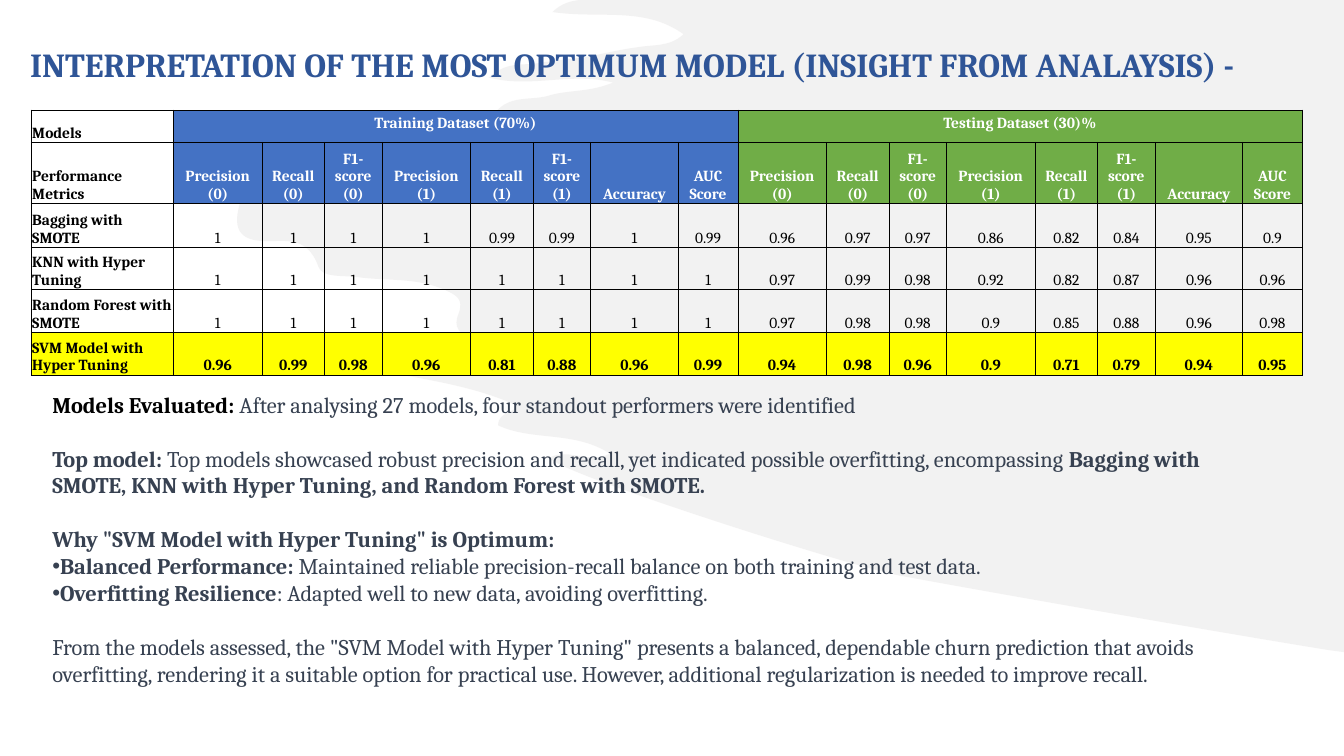
from lxml import etree
from pptx import Presentation
from pptx.dml.color import RGBColor
from pptx.enum.text import MSO_ANCHOR, PP_ALIGN
from pptx.oxml.ns import qn
from pptx.util import Inches, Pt

MIDDLE, BOTTOM, TOP = MSO_ANCHOR.MIDDLE, MSO_ANCHOR.BOTTOM, MSO_ANCHOR.TOP
LEFT, CENTER = PP_ALIGN.LEFT, PP_ALIGN.CENTER
FONT, BULLET_FONT = "Cambria", "Arial"
BLACK, WHITE, NAVY, SLATE = "000000", "FFFFFF", "2F5597", "374151"
BLUE, GREEN, YELLOW, PALE = "4472C4", "70AD47", "FFFF00", "E7E6E6"

# Wave outline: each row holds two control points and an end point
WAVE_START = (5.75, 0)
WAVE_CURVES = [
    (5.67, 0.01, 5.57, 0.03, 5.48, 0.12), (5.95, 0.19, 6.39, 0.06, 6.78, 0.34),
    (6.64, 0.47, 6.48, 0.44, 6.32, 0.47), (6.16, 0.49, 6, 0.53, 5.84, 0.56),
    (5.67, 0.59, 5.49, 0.6, 5.32, 0.63), (5.18, 0.65, 5.02, 0.61, 4.85, 0.77),
    (5.27, 0.88, 5.66, 0.71, 6.08, 0.82), (5.84, 0.92, 5.63, 0.89, 5.44, 0.95),
    (5.27, 1, 5.06, 0.94, 4.92, 1.11), (4.81, 1.24, 4.69, 1.26, 4.55, 1.18),
    (4.42, 1.11, 4.28, 1.13, 4.15, 1.2), (4.11, 1.23, 4.06, 1.26, 4.06, 1.32),
    (4.06, 1.41, 4.12, 1.43, 4.18, 1.44), (4.24, 1.46, 4.31, 1.47, 4.37, 1.46),
    (4.74, 1.39, 5.1, 1.5, 5.47, 1.49), (4.31, 1.76, 3.14, 1.67, 1.93, 1.76),
    (2.09, 1.95, 2.29, 1.79, 2.41, 1.93), (2.3, 2.22, 2.34, 2.37, 2.58, 2.39),
    (2.8, 2.41, 3.04, 2.31, 3.16, 2.65), (3.2, 2.76, 3.41, 2.73, 3.55, 2.75),
    (3.84, 2.79, 4.14, 2.75, 4.42, 2.88), (4.53, 2.93, 4.6, 2.97, 4.55, 3.11),
    (4.49, 3.25, 4.56, 3.3, 4.66, 3.36), (4.73, 3.4, 4.83, 3.39, 4.89, 3.52),
    (4.28, 3.5, 3.69, 3.4, 3.09, 3.5), (3.75, 3.74, 4.47, 3.73, 5.12, 4.02),
    (5.1, 4.12, 4.95, 4.07, 4.94, 4.22), (5.28, 4.38, 5.69, 4.27, 6.05, 4.5),
    (5.84, 4.61, 5.65, 4.44, 5.45, 4.54), (5.52, 4.69, 8.4, 5.61, 8.92, 5.71),
    (9.78, 5.87, 11.95, 6.25, 13.18, 6.45),
]
WAVE_END = [(13.33, 6.47), (13.33, 0)]

# Table content
METRICS = ["Precision (0)", "Recall (0)", "F1-score (0)", "Precision (1)",
           "Recall (1)", "F1-score (1)", "Accuracy", "AUC Score"]
RESULTS = [
    ("Bagging with SMOTE", "1 1 1 1 0.99 0.99 1 0.99 "
     "0.96 0.97 0.97 0.86 0.82 0.84 0.95 0.9"),
    ("KNN with Hyper Tuning", "1 1 1 1 1 1 1 1 "
     "0.97 0.99 0.98 0.92 0.82 0.87 0.96 0.96"),
    ("Random Forest with SMOTE", "1 1 1 1 1 1 1 1 "
     "0.97 0.98 0.98 0.9 0.85 0.88 0.96 0.98"),
    ("SVM Model with Hyper Tuning", "0.96 0.99 0.98 0.96 0.81 0.88 0.96 0.99 "
     "0.94 0.98 0.96 0.9 0.71 0.79 0.94 0.95"),
]
COLUMN_WIDTHS = [1.41] + [0.88, 0.62, 0.57, 0.88, 0.62, 0.57, 0.87, 0.59] * 2
ROW_HEIGHTS = [0.32, 0.61] + [0.43, 0.42] * 2

# Findings: (gap above, bulleted, [(text, bold, colour)])
FINDINGS = [
    (False, False, [
        ("Models Evaluated:", True, BLACK),
        (" After analysing 27 models, four standout performers were identified", False, SLATE)]),
    (True, False, [
        ("Top model:", True, SLATE),
        (" Top models showcased robust precision and recall, yet indicated possible "
         "overfitting, encompassing ", False, SLATE),
        ("Bagging with SMOTE, KNN with Hyper Tuning, and Random Forest with SMOTE.",
         True, SLATE)]),
    (True, False, [('Why "SVM Model with Hyper Tuning" is Optimum:', True, SLATE)]),
    (False, True, [
        ("Balanced Performance: ", True, SLATE),
        ("Maintained reliable precision-recall balance on both training and test data.",
         False, SLATE)]),
    (False, True, [
        ("Overfitting Resilience", True, SLATE),
        (": Adapted well to new data, avoiding overfitting.", False, SLATE)]),
    (True, False, [
        ('From the models assessed, the "SVM Model with Hyper Tuning" presents a balanced, '
         "dependable churn prediction that avoids overfitting, rendering it a suitable option "
         "for practical use. However, additional regularization is needed to improve recall.",
         False, SLATE)]),
]


def rgb(value):
    return RGBColor.from_string(value)


def add_span(para, text, size, color, bold):
    span = para.add_run()
    span.text = text
    span.font.name = FONT
    span.font.size = Pt(size)
    span.font.bold = bold
    span.font.color.rgb = rgb(color)


def add_text_box(page, left, top, width, height, anchor):
    box = page.shapes.add_textbox(Inches(left), Inches(top), Inches(width), Inches(height))
    box.text_frame.word_wrap = True
    box.text_frame.vertical_anchor = anchor
    return box.text_frame


def bend_segments(shape, curves):
    """Turn the first straight segments of a freeform into Bezier curves."""
    segments = list(shape._element.iter(qn("a:lnTo")))
    for segment, curve in zip(segments, curves):
        bend = etree.Element(qn("a:cubicBezTo"))
        for x, y in zip(curve[::2], curve[1::2]):
            etree.SubElement(bend, qn("a:pt"), x=str(Inches(x) - shape.left),
                             y=str(Inches(y) - shape.top))
        segment.getparent().replace(segment, bend)


def add_wave(page):
    points = [WAVE_START] + [curve[4:] for curve in WAVE_CURVES] + WAVE_END
    corners = [(Inches(x), Inches(y)) for x, y in points]
    builder = page.shapes.build_freeform(*corners[0])
    builder.add_line_segments(corners[1:], close=True)
    wave = builder.convert_to_shape()
    bend_segments(wave, WAVE_CURVES)
    wave.shadow.inherit = False
    wave.line.fill.background()
    wave.fill.solid()
    wave.fill.fore_color.rgb = rgb(PALE)
    tint = wave._element.spPr.find(qn("a:solidFill")).find(qn("a:srgbClr"))
    etree.SubElement(tint, qn("a:alpha"), val="50000")


def add_borders(cell):
    properties = cell._tc.get_or_add_tcPr()
    for index, side in enumerate(("lnL", "lnR", "lnT", "lnB")):
        line = etree.Element(qn("a:" + side), w=str(Pt(0.5)))
        fill = etree.SubElement(line, qn("a:solidFill"))
        etree.SubElement(fill, qn("a:srgbClr"), val=BLACK)
        properties.insert(index, line)


def style_cell(cell, fill):
    if fill:
        cell.fill.solid()
        cell.fill.fore_color.rgb = rgb(fill)
    else:
        cell.fill.background()
    add_borders(cell)


def write_cell(cell, text, color=BLACK, bold=True, align=CENTER):
    cell.vertical_anchor = BOTTOM
    cell.margin_left = cell.margin_right = cell.margin_top = Inches(0.01)
    cell.margin_bottom = 0
    para = cell.text_frame.paragraphs[0]
    para.alignment = align
    add_span(para, text, 11, color, bold)


def add_group_heading(table, column, text):
    heading = table.cell(0, column)
    heading.merge(table.cell(0, column + len(METRICS) - 1))
    write_cell(heading, text, WHITE)
    heading.vertical_anchor = TOP
    heading.margin_left = heading.margin_right = Inches(0.09)
    heading.margin_top = heading.margin_bottom = Inches(0.05)


def add_results_table(page):
    frame = page.shapes.add_table(len(ROW_HEIGHTS), len(COLUMN_WIDTHS), Inches(0.31),
                                  Inches(1.09), Inches(12.61), Inches(2.63))
    table = frame.table
    table.first_row = table.horz_banding = False
    for column, width in zip(table.columns, COLUMN_WIDTHS):
        column.width = Inches(width)
    for row, height in zip(table.rows, ROW_HEIGHTS):
        row.height = Inches(height)

    # Fills and borders
    last = len(ROW_HEIGHTS) - 1
    for r in range(len(ROW_HEIGHTS)):
        for c in range(len(COLUMN_WIDTHS)):
            header = (BLUE if c <= len(METRICS) else GREEN) if r < 2 and c else None
            style_cell(table.cell(r, c), YELLOW if r == last else header)

    # Headings
    add_group_heading(table, 1, "Training Dataset (70%)")
    add_group_heading(table, 1 + len(METRICS), "Testing Dataset (30)%")
    for r, label in enumerate(["Models", "Performance Metrics"]):
        write_cell(table.cell(r, 0), label, align=LEFT)
    for c, metric in enumerate(METRICS * 2, start=1):
        write_cell(table.cell(1, c), metric, WHITE)

    # Scores
    for r, (model, scores) in enumerate(RESULTS, start=2):
        write_cell(table.cell(r, 0), model, align=LEFT)
        for c, score in enumerate(scores.split(), start=1):
            write_cell(table.cell(r, c), score, bold=r == last)


def add_title(page):
    para = add_text_box(page, 0.2, -0.37, 12.94, 2.07, MIDDLE).paragraphs[0]
    para.line_spacing = 0.9
    add_span(para, "INTERPRETATION OF THE MOST OPTIMUM MODEL (INSIGHT FROM ANALAYSIS) -",
             24, NAVY, True)


def add_findings(page):
    frame = add_text_box(page, 0.42, 3.83, 12.11, 3.06, TOP)
    for index, (gap, bulleted, spans) in enumerate(FINDINGS):
        para = frame.add_paragraph() if index else frame.paragraphs[0]
        if gap:
            para.space_before = Pt(19.2)
        if bulleted:
            properties = para._p.get_or_add_pPr()
            etree.SubElement(properties, qn("a:buFont"), typeface=BULLET_FONT)
            etree.SubElement(properties, qn("a:buChar"), char="•")
        for text, bold, color in spans:
            add_span(para, text, 16, color, bold)


def main():
    deck = Presentation()
    deck.slide_width, deck.slide_height = Inches(13.33), Inches(7.5)
    page = deck.slides.add_slide(deck.slide_layouts[6])
    add_wave(page)
    add_title(page)
    add_results_table(page)
    add_findings(page)
    deck.save("out.pptx")


if __name__ == "__main__":
    main()
